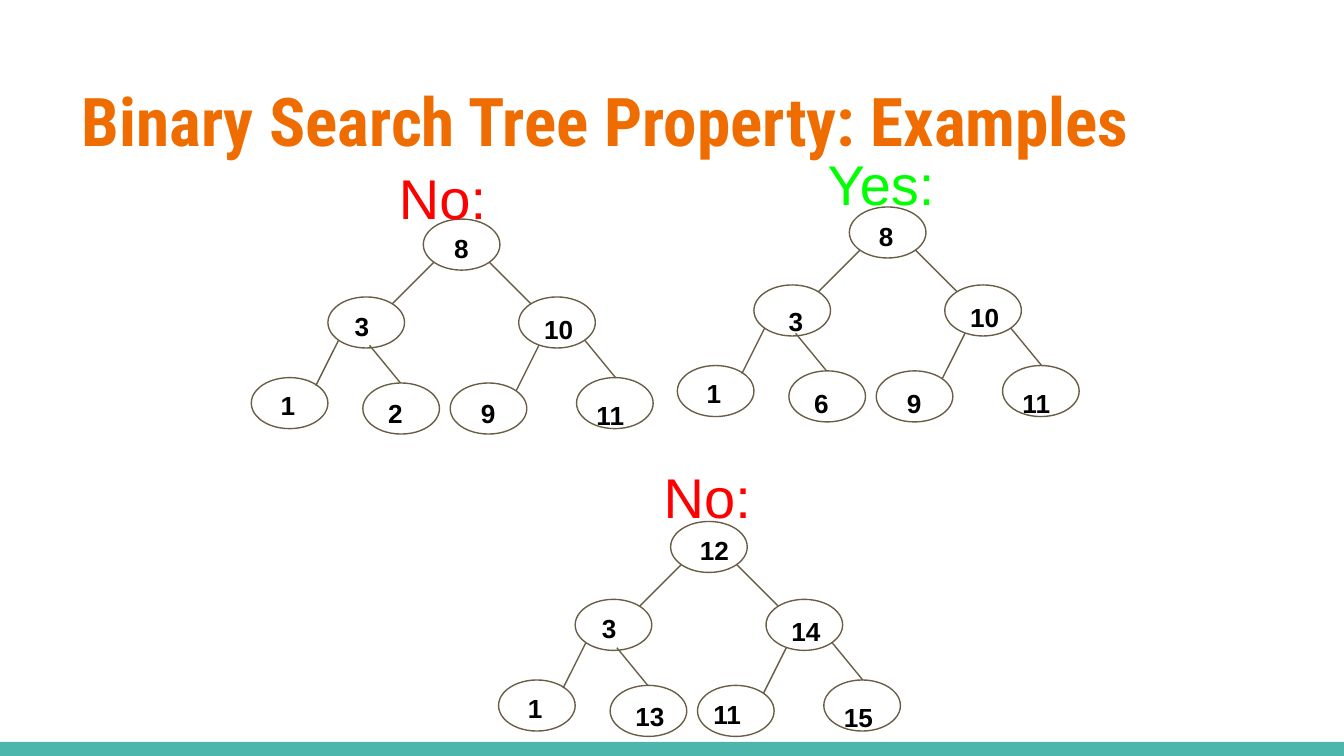
import pptx
import pptx.util
import pptx.dml.color
import pptx.enum.shapes
import pptx.enum.text
import pptx.oxml.ns
import lxml.etree

Inches = pptx.util.Inches
Pt = pptx.util.Pt
RGBColor = pptx.dml.color.RGBColor
SHAPE = pptx.enum.shapes.MSO_SHAPE

TEAL = RGBColor(0x4D, 0xB6, 0xAC)
ORANGE = RGBColor(0xEF, 0x6C, 0x00)
BROWN = RGBColor(0x69, 0x5D, 0x46)
WHITE = RGBColor(0xFF, 0xFF, 0xFF)
BLACK = RGBColor(0x00, 0x00, 0x00)
RED = RGBColor(0xFF, 0x00, 0x00)
GREEN = RGBColor(0x00, 0xFF, 0x00)

NODES = [(0, 0), (-0.71, 0.58), (0.71, 0.58),
         (-1.28, 1.18), (-0.45, 1.22), (0.2, 1.22), (1.14, 1.18)]
LABELS = [(0.12, 0), (-0.61, 0.58), (0.8, 0.6),
          (-1.16, 1.17), (-0.36, 1.23), (0.33, 1.23), (1.19, 1.24)]
EDGES = [(0.08, 0.32, -0.23, 0.63), (0.49, 0.32, 0.8, 0.63),
         (-0.63, 0.9, -0.8, 1.24), (-0.4, 0.94, -0.17, 1.22),
         (0.86, 0.94, 0.69, 1.28), (1.2, 0.9, 1.43, 1.18)]


def add_text(slide, text, left, top, width, height, size=14,
             font="Arial", color=BLACK, bold=False):
    box = slide.shapes.add_textbox(
        Inches(left), Inches(top), Inches(width), Inches(height))
    frame = box.text_frame
    frame.word_wrap = True
    frame.vertical_anchor = pptx.enum.text.MSO_ANCHOR.TOP
    frame.margin_left = frame.margin_right = Inches(0.1)
    frame.margin_top = frame.margin_bottom = Inches(0.1)
    run = frame.paragraphs[0].add_run()
    run.text = text
    run.font.size = Pt(size)
    run.font.name = font
    run.font.bold = bold
    run.font.color.rgb = color


def add_solid(slide, kind, left, top, width, height, fill, line=None):
    shape = slide.shapes.add_shape(
        kind, Inches(left), Inches(top), Inches(width), Inches(height))
    shape.shadow.inherit = False
    shape.fill.solid()
    shape.fill.fore_color.rgb = fill
    if line is None:
        shape.line.fill.background()
    else:
        shape.line.color.rgb = line
        shape.line.width = Pt(0.75)


def add_edge(slide, left, top, right, bottom):
    edge = slide.shapes.add_connector(
        pptx.enum.shapes.MSO_CONNECTOR.STRAIGHT,
        Inches(left), Inches(top), Inches(right), Inches(bottom))
    edge.line.color.rgb = BROWN
    edge.line.width = Pt(0.75)
    lxml.etree.SubElement(
        edge._element.spPr, pptx.oxml.ns.qn("a:effectLst"))


def add_tree(slide, left, top, keys, shifts):
    for x, y in NODES:
        add_solid(slide, SHAPE.OVAL, left + x, top + y, 0.57, 0.38,
                  WHITE, BROWN)
    for x1, y1, x2, y2 in EDGES:
        add_edge(slide, left + x1, top + y1, left + x2, top + y2)
    for key, (x, y) in zip(keys, LABELS):
        dx, dy = shifts.get(key, (0, 0))
        width = 0.32 if key < 10 else 0.5
        add_text(slide, str(key), left + x + dx, top + y + dy,
                 width, 0.2, bold=True)


def main():
    deck = pptx.Presentation()
    deck.slide_width = Inches(10)
    deck.slide_height = Pt(405)
    slide = deck.slides.add_slide(deck.slide_layouts[6])
    add_solid(slide, SHAPE.RECTANGLE, 0, 5.52, 10, 0.11, TEAL)
    add_text(slide, "Binary Search Tree Property: Examples",
             0.51, 0.49, 9.32, 0.77, size=36, font="Roboto Condensed",
             color=ORANGE, bold=True)
    add_tree(slide, 6.32, 1.54, [8, 3, 10, 1, 6, 9, 11],
             {3: (0.06, 0.05), 9: (0, 0.01), 6: (0, 0.01)})
    add_tree(slide, 3.15, 1.63, [8, 3, 10, 1, 2, 9, 11], {8: (0.01, 0)})
    add_tree(slide, 4.99, 3.88, [12, 3, 14, 1, 13, 11, 15],
             {11: (-0.11, -0.01)})
    for text, left, top, color in [("No:", 4.84, 3.34, RED),
                                   ("Yes:", 6.06, 1.01, GREEN),
                                   ("No:", 2.87, 1.12, RED)]:
        add_text(slide, text, left, top, 1.09, 0.42, size=30, color=color)
    deck.save("out.pptx")


if __name__ == "__main__":
    main()
